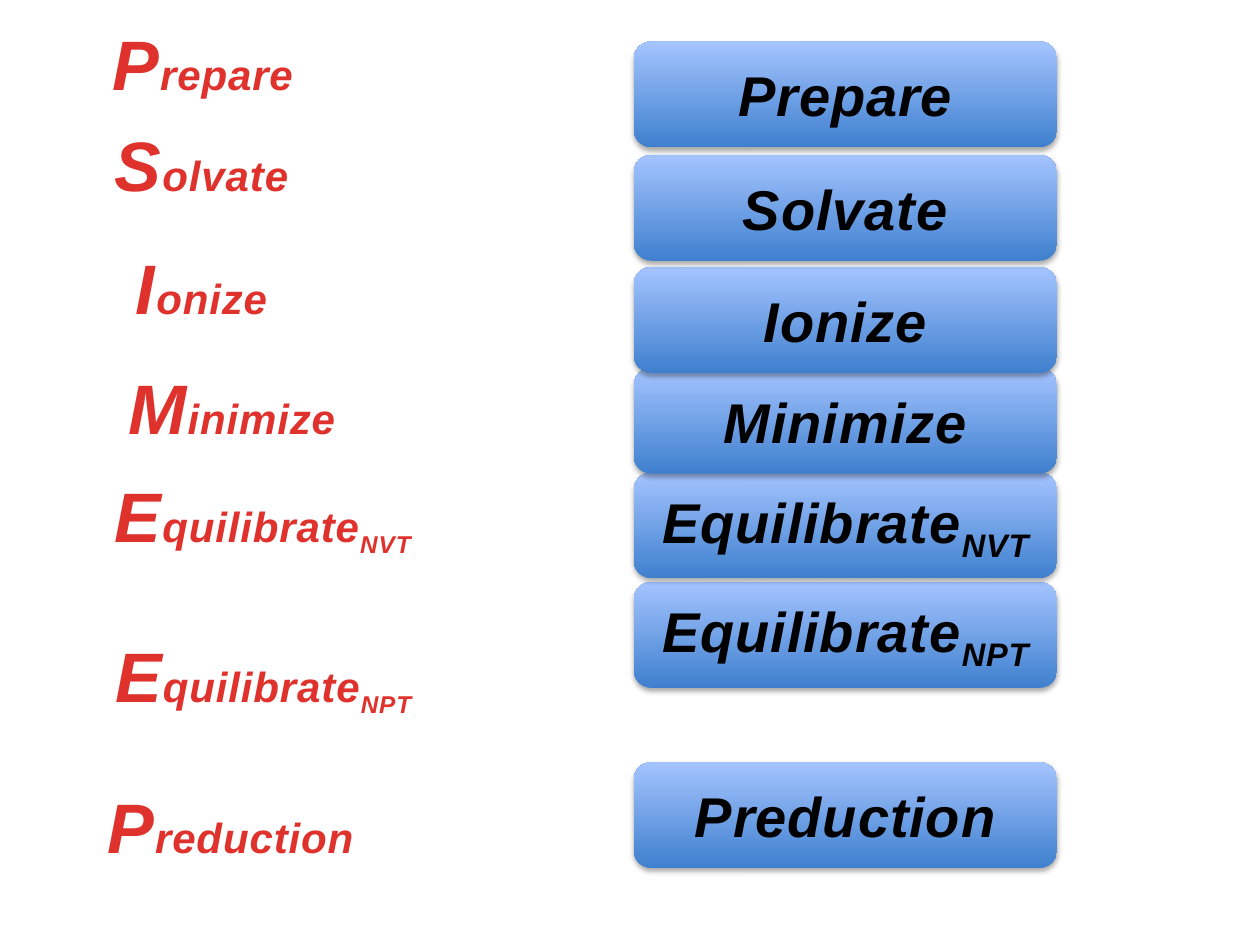
"""Build a slide listing the stages of a simulation workflow."""
from lxml import etree
from pptx import Presentation
from pptx import util as u
from pptx.dml.color import RGBColor
from pptx.enum import shapes, text
from pptx.oxml import ns

COLUMNS, ROWS = 100, 75
RED, DARK_RED = RGBColor(0xE0, 0x32, 0x2D), RGBColor(0xA2, 0x20, 0x1C)
BLUE, LIGHT_BLUE = RGBColor(0x3F, 0x80, 0xCE), RGBColor(0xA4, 0xC4, 0xFF)
BLACK = RGBColor(0, 0, 0)

BUTTON_LEFT, BUTTON_WIDTH, BUTTON_HEIGHT = 50.3, 33.6, 8.4
LABEL_HEIGHT = 10

# name, subscript, label left, label top, label width, button top
STAGES = [
    ("Prepare", "", 6.1, 0, 20, 3.3),
    ("Solvate", "", 6, 8, 20, 12.3),
    ("Ionize", "", 6, 17.7, 20, 21.2),
    ("Minimize", "", 5.9, 27.3, 25, 29.2),
    ("Equilibrate", "NVT", 6.1, 35.9, 29.5, 37.5),
    ("Equilibrate", "NPT", 6.2, 48.6, 29.4, 46.2),
    ("Preduction", "", 5.8, 60.5, 25, 60.5),
]


def place(deck, left, top, width, height):
    """Turn columns and rows of the grid into slide lengths."""
    column, row = deck.slide_width / COLUMNS, deck.slide_height / ROWS
    return [u.Emu(round(size)) for size in
            (left * column, top * row, width * column, height * row)]


def paint_gradient(fill, start, end, angle, first=0):
    """Fill with two colours along an angle."""
    fill.gradient()
    fill.gradient_angle = angle
    for stop, color, position in zip(fill.gradient_stops, (start, end), (first, 1)):
        stop.color.rgb = color
        stop.position = position


def add_span(para, words, size, color=None, subscript=False):
    """Add bold italic text, red gradient unless a colour is given."""
    span = para.add_run()
    span.text = words
    font = span.font
    font.name, font.size, font.bold, font.italic = "Arial", u.Pt(size), True, True
    if color is None:
        paint_gradient(font.fill, RED, DARK_RED, 270, first=0.25)
    else:
        font.color.rgb = color
    properties = span._r.get_or_add_rPr()
    properties.set("spc", "50")
    if subscript:
        properties.set("baseline", "-25000")


def centre_text(box):
    """Centre the text of a box both ways and return its paragraph."""
    frame = box.text_frame
    frame.word_wrap = True
    frame.vertical_anchor = text.MSO_ANCHOR.MIDDLE
    para = frame.paragraphs[0]
    para.alignment = text.PP_ALIGN.CENTER
    return para


def add_shadow(box):
    """Give a box a soft shadow straight below it."""
    box.shadow.inherit = False
    effects = box._element.spPr.find(ns.qn("a:effectLst"))
    shadow = etree.SubElement(effects, ns.qn("a:outerShdw"), blurRad="40000",
                              dist="23000", dir="5400000", rotWithShape="0")
    color = etree.SubElement(shadow, ns.qn("a:srgbClr"), val="000000")
    etree.SubElement(color, ns.qn("a:alpha"), val="35000")


def add_label(page, bounds, name, subscript):
    """Add a red stage name with a large initial."""
    para = centre_text(page.shapes.add_textbox(*bounds))
    add_span(para, name[0], 40)
    add_span(para, name[1:], 24)
    if subscript:
        add_span(para, subscript, 24, subscript=True)


def add_button(page, bounds, name, subscript):
    """Add a rounded blue button with a stage name."""
    button = page.shapes.add_shape(shapes.MSO_SHAPE.ROUNDED_RECTANGLE, *bounds)
    paint_gradient(button.fill, BLUE, LIGHT_BLUE, 90)
    button.line.fill.background()
    add_shadow(button)
    para = centre_text(button)
    add_span(para, name, 32, BLACK)
    if subscript:
        add_span(para, subscript, 32, BLACK, subscript=True)


def build_stages(deck):
    """Add the page, stacking each button over the one below it."""
    page = deck.slides.add_slide(deck.slide_layouts[6])
    for name, subscript, left, top, width, _ in STAGES:
        add_label(page, place(deck, left, top, width, LABEL_HEIGHT), name, subscript)
    for name, subscript, *_, top in reversed(STAGES):
        bounds = place(deck, BUTTON_LEFT, top, BUTTON_WIDTH, BUTTON_HEIGHT)
        add_button(page, bounds, name, subscript)


deck = Presentation()
deck.slide_width, deck.slide_height = u.Inches(10), u.Inches(7.5)
build_stages(deck)
deck.save("out.pptx")
